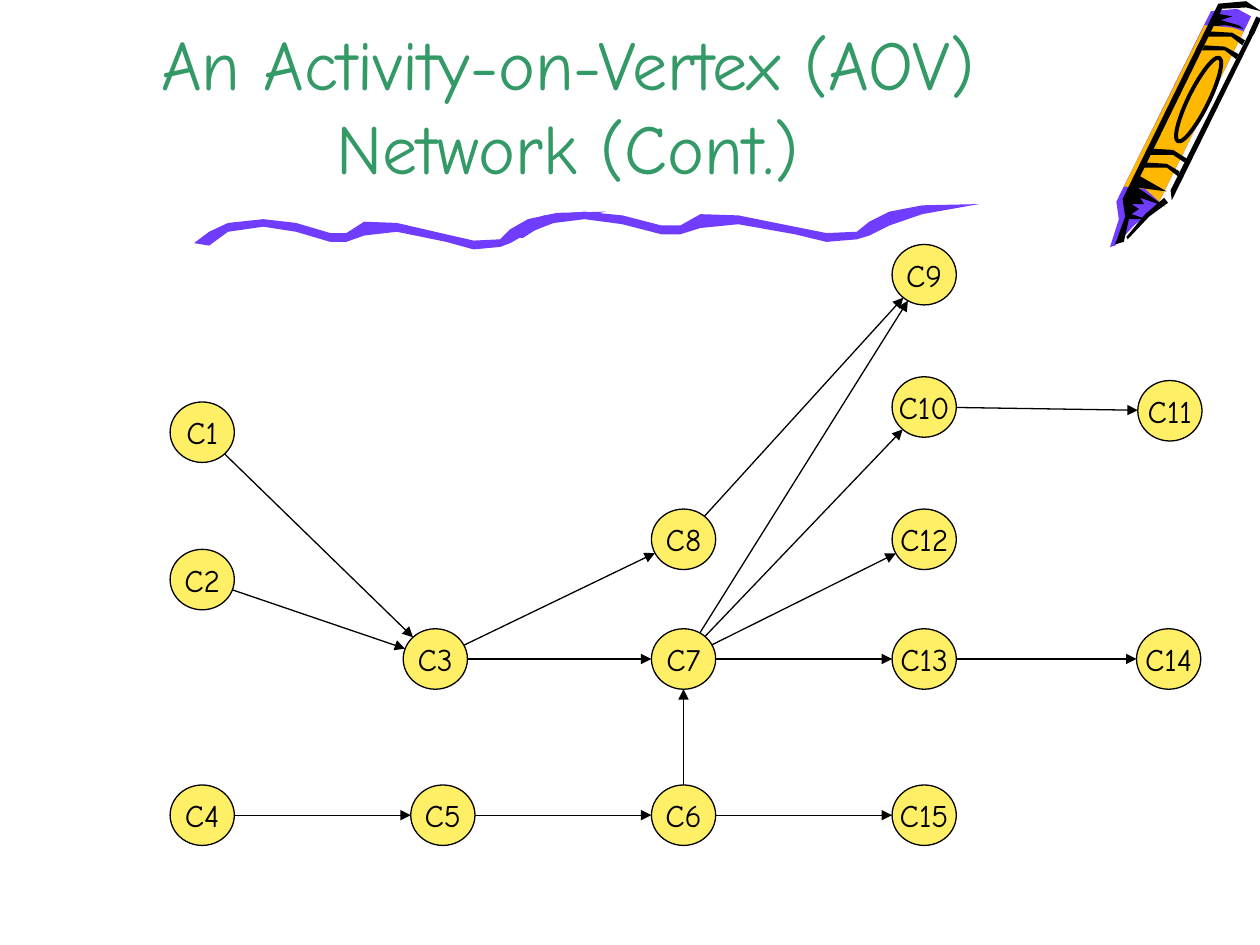
"""Build the activity-on-vertex network slide."""
import itertools
import math
import pptx
import pptx.util
import pptx.dml.color
import pptx.enum.shapes
import pptx.enum.text
import pptx.oxml.ns
from dataclasses import dataclass
from lxml import etree
from pptx.util import Inches


@dataclass(frozen=True)
class Theme:
    font: str = "Comic Neue"
    green: str = "339966"
    black: str = "000000"
    yellow: str = "FFEF66"
    purple: str = "703DFF"
    orange: str = "FFB800"
    title: int = 40
    label: int = 18
    thin: float = 0.75
    ring: float = 2.25
    thick: float = 3


theme = Theme()
rgb = pptx.dml.color.RGBColor.from_string


def write(frame, text, *, size, color, anchor, wrap):
    frame.auto_size = pptx.enum.text.MSO_AUTO_SIZE.NONE
    frame.word_wrap = wrap
    frame.vertical_anchor = anchor
    para = frame.paragraphs[0]
    para.alignment = pptx.enum.text.PP_ALIGN.CENTER
    run = para.add_run()
    run.text = text
    run.font.name = theme.font
    run.font.size = pptx.util.Pt(size)
    run.font.color.rgb = rgb(color)


def paint(shape, fill, line, width):
    shape.shadow.inherit = False
    for part, color in ((shape.fill, fill), (shape.line.fill, line)):
        if color:
            part.solid()
            part.fore_color.rgb = rgb(color)
        else:
            part.background()
    if line:
        shape.line.width = pptx.util.Pt(width)


deck = pptx.Presentation()
deck.slide_width, deck.slide_height = Inches(10), Inches(7.5)
slide = deck.slides.add_slide(deck.slide_layouts[5])
unit = Inches(0.01)

# Crayon points are (along, across) in hundredths of an inch from its tip.
tip_x, tip_y, tilt = 881, 196, 26.4
sin, cos = math.sin(math.radians(tilt)), math.cos(math.radians(tilt))
low, high = -11.5, 19
body = [(214, high), (43, high), (25, 10), (3, 3), (0, 0), (23, -4),
        (34, low), (203, low), (214, 6)]
paper = [(50, high), (54, 5), (48, low), (191, low), (199, 10), (200, high)]
cap = [(202, 18), (198, 4), (192, -6), (204, -5), (207, 6), (200, -1), (203, 13)]
side = [(207, 27), (55, 27), (62, 23), (205, 23)]
slant = [(52, 26), (35, 17), (12, 10), (13, 8), (36, 13), (54, 21)]
rim = [(209, -4), (218, 12), (221, 24), (223, 10), (211, -9)]
point = [(39, -8), (27, 0), (4, 3)]
teeth = [(8, 8), (33, 16), (37, 7), (42, 9), (48, 25), (59, 21)]
gaps = [(26, 4), (31, 4), (38, 0), (46, 4), (52, -1), (61, -3)]
shade = rim + point + list(itertools.chain(*zip(teeth, gaps)))
stripe = [(0, -4), (8, 12), (6, 23), (10, 23), (11, 11), (5, -4)]
bands = [[(start + along, across) for along, across in stripe]
         for start in (68, 80, 172, 184)]

crayon = []
for color, local in [(theme.purple, body), (theme.orange, paper)] + [
        (theme.black, part) for part in (cap, side, slant, shade, *bands)]:
    crayon.append((color, [(tip_x + along * sin + across * cos,
                            tip_y - along * cos + across * sin)
                           for along, across in local]))

# The brush presses harder on steep rises and lifts off at both ends.
crest = [(0, 25), (12, 16), (27, 9), (55, 6), (81, 9), (108, 17), (121, 17), (135, 8),
         (161, 9), (200, 18), (222, 23), (243, 22), (251, 14), (265, 6), (288, 1), (327, 0)]
press, glide, steep = 11, 6.5, 8
under = [crest[0]]
for (_, old), (x, y) in itertools.pairwise(crest[:-1]):
    under.append((x, y + (press if old - y >= steep else glide)))
ribbon = crest + under[:0:-1]
wave = [(theme.purple, [(left + x * stretch, top + y) for x, y in ribbon])
        for left, top, stretch in ((154, 168, 1), (401, 162, 1.15))]

for parts in (crayon, wave):
    group = slide.shapes.add_group_shape()
    for color, points in parts:
        pen = group.shapes.build_freeform(*points[0], scale=unit)
        pen.add_line_segments(points[1:], close=True)
        paint(pen.convert_to_shape(), color, None, 0)
    if parts is crayon:
        along, across, long, wide = 136, 11, 74, 16
        x, y = tip_x + along * sin + across * cos, tip_y - along * cos + across * sin
        oval = group.shapes.add_shape(
            pptx.enum.shapes.MSO_SHAPE.OVAL, *[int(unit * size) for size in
                                               (x - wide / 2, y - long / 2, wide, long)])
        oval.rotation = tilt
        paint(oval, None, theme.black, theme.ring)

title = slide.shapes.title
title.left, title.top = Inches(0.75), Inches(0)
title.width, title.height = Inches(7.51), Inches(1.55)
write(title.text_frame, "An Activity-on-Vertex (AOV) Network (Cont.)", size=theme.title,
      color=theme.green, anchor=pptx.enum.text.MSO_ANCHOR.BOTTOM, wrap=True)

wide, high = 0.51, 0.48
nodes = {
    1.35: {"C1": 3.19, "C2": 4.36, "C4": 6.23},
    3.2: {"C3": 4.99},
    3.26: {"C5": 6.23},
    5.17: {"C8": 4.04, "C7": 4.99, "C6": 6.23},
    7.08: {"C9": 1.94, "C10": 2.99, "C12": 4.04, "C13": 4.99, "C15": 6.23},
    9.02: {"C14": 4.99},
    9.03: {"C11": 3.02},
}
mid = {}
for left, column in nodes.items():
    for name, top in column.items():
        mid[name] = left + wide / 2, top + high / 2
        node = slide.shapes.add_shape(pptx.enum.shapes.MSO_SHAPE.OVAL, Inches(left),
                                      Inches(top), Inches(wide), Inches(high))
        paint(node, theme.yellow, theme.black, theme.thin)
        write(node.text_frame, name, size=theme.label, color=theme.black,
              anchor=pptx.enum.text.MSO_ANCHOR.MIDDLE, wrap=False)

edges = {
    "C1": ["C3"], "C2": ["C3"], "C3": ["C7", "C8"], "C4": ["C5"], "C5": ["C6"],
    "C6": ["C7", "C15"], "C7": ["C9", "C10", "C12", "C13"], "C8": ["C9"],
    "C10": ["C11"], "C13": ["C14"],
}
links = []
for first, others in edges.items():
    for last in others:
        (x1, y1), (x2, y2) = mid[first], mid[last]
        run, rise = x2 - x1, y2 - y1
        cut = 1 / math.hypot(run / (wide / 2), rise / (high / 2))
        links.append((theme.thin, True, (x1 + run * cut, y1 + rise * cut,
                                         x2 - run * cut, y2 - rise * cut)))

for width, arrow, ends in [(theme.thick, False, (9.99, 0.14, 9.93, 0.27))] + links:
    link = slide.shapes.add_connector(
        pptx.enum.shapes.MSO_CONNECTOR.STRAIGHT, *[Inches(end) for end in ends])
    link.line.color.rgb = rgb(theme.black)
    link.line.width = pptx.util.Pt(width)
    props = link._element.spPr
    if arrow:
        etree.SubElement(props.find(pptx.oxml.ns.qn("a:ln")),
                         pptx.oxml.ns.qn("a:tailEnd"), type="triangle")
    etree.SubElement(props, pptx.oxml.ns.qn("a:effectLst"))

deck.save("out.pptx")
